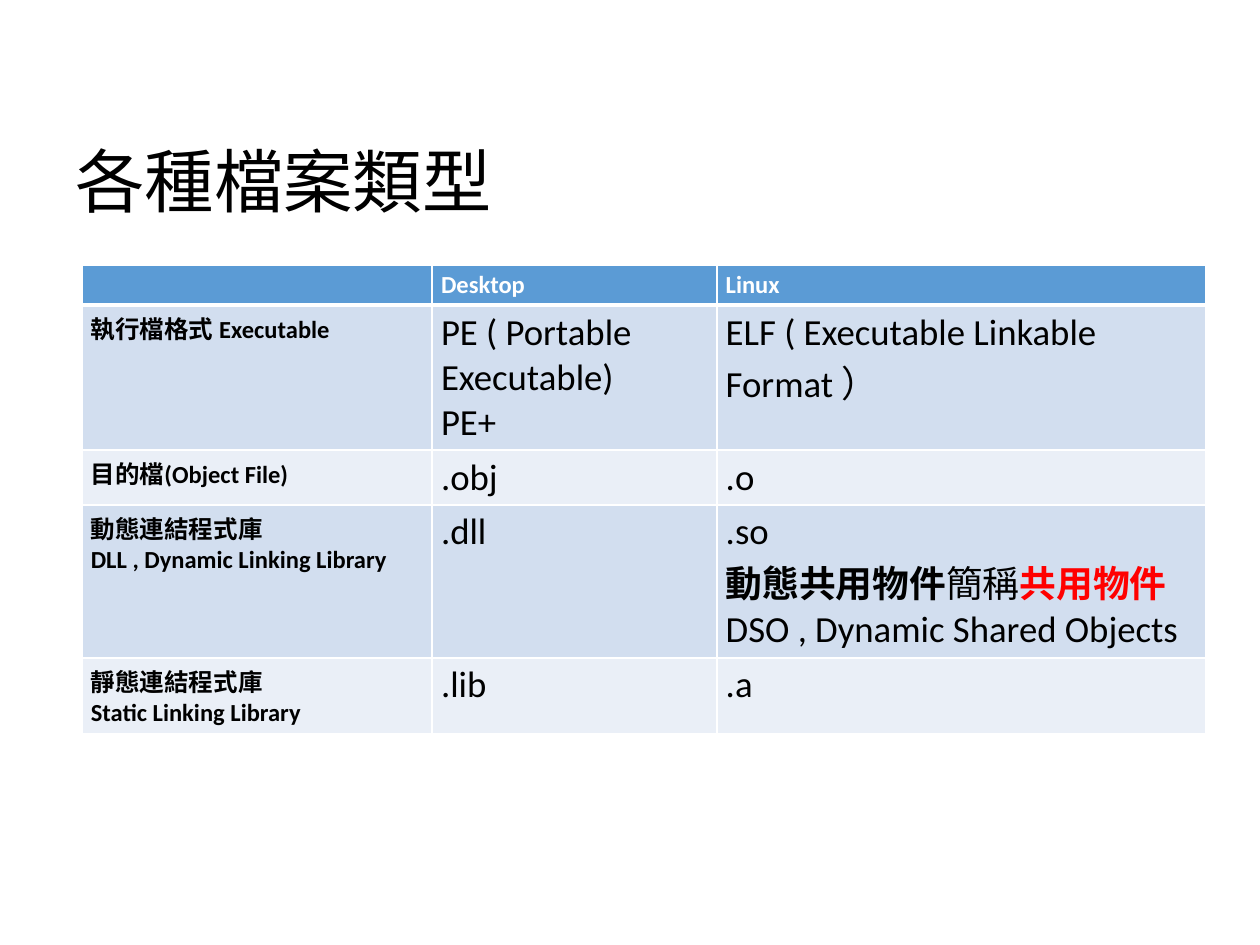
from lxml.etree import SubElement
from pptx import Presentation
from pptx.dml.color import RGBColor
from pptx.enum.text import MSO_ANCHOR as Anchor, MSO_AUTO_SIZE as AutoSize, PP_ALIGN as Align
from pptx.oxml.ns import qn
from pptx.util import Cm, Pt

BLACK = RGBColor(0x00, 0x00, 0x00)
WHITE = RGBColor(0xFF, 0xFF, 0xFF)
RED = RGBColor(0xFF, 0x00, 0x00)
HEADER_BLUE = RGBColor(0x5B, 0x9B, 0xD5)
BANDS = [RGBColor(0xD2, 0xDE, 0xEF), RGBColor(0xEA, 0xEF, 0xF7)]

HEADING = {"size": Pt(14), "bold": True, "color": WHITE}
LABEL = {"size": Pt(14), "bold": True, "color": BLACK}
VALUE = {"size": Pt(21), "bold": False, "color": BLACK}
STRONG = {**VALUE, "bold": True}
ALERT = {**STRONG, "color": RED}

COLUMN_WIDTHS = [7.06, 5.74, 9.86]
ROW_HEIGHTS = [0.76, 2.84, 1.07, 2.84, 1.35]
FILE_TYPES = [
    [[], ["Desktop"], ["Linux"]],
    [["執行檔格式 Executable"], ["PE ( Portable Executable)", "PE+"],
     ["ELF ( Executable Linkable Format ）"]],
    [["目的檔(Object File)"], [".obj"], [".o"]],
    [["動態連結程式庫", "DLL , Dynamic Linking Library"], [".dll"],
     [".so", [("動態共用物件", STRONG), ("簡稱", VALUE), ("共用物件", ALERT)],
      "DSO , Dynamic Shared Objects"]],
    [["靜態連結程式庫", "Static Linking Library"], [".lib"], [".a"]],
]


class SlideBuilder:
    """Hold the style and the slide being built."""

    font_name = "Calibri"
    cell_format = {"margin_left": Cm(0.18), "margin_right": Cm(0.18),
                   "margin_top": Cm(0.1), "margin_bottom": Cm(0.1),
                   "vertical_anchor": Anchor.TOP}

    def __init__(self, slide):
        self.slide = slide

    def apply(self, target, values):
        for name, value in values.items():
            setattr(target, name, value)

    def run(self, paragraph, text, style):
        run = paragraph.add_run()
        run.text = text
        self.apply(run.font, {"name": self.font_name, "size": style["size"],
                              "bold": style["bold"]})
        run.font.color.rgb = style["color"]

    def title(self, text, left, top, width, height):
        heading = self.slide.shapes.title
        self.apply(heading, {"left": Cm(left), "top": Cm(top),
                             "width": Cm(width), "height": Cm(height)})
        self.apply(heading.text_frame, {"auto_size": AutoSize.NONE, "word_wrap": True,
                                        "vertical_anchor": Anchor.MIDDLE})
        paragraph = heading.text_frame.paragraphs[0]
        self.apply(paragraph, {"alignment": Align.LEFT, "line_spacing": 0.9})
        self.run(paragraph, text, {"size": Pt(39.6), "bold": False, "color": BLACK})

    def borders(self, cell, widths):
        properties = cell._tc.get_or_add_tcPr()
        for side, width in widths.items():
            line = SubElement(properties, qn(f"a:ln{side}"), w=str(Pt(width)))
            fill = SubElement(line, qn("a:solidFill"))
            SubElement(fill, qn("a:srgbClr"), val=str(WHITE))

    def cell(self, cell, lines, style, fill, widths):
        self.apply(cell, self.cell_format)
        self.borders(cell, widths)
        cell.fill.solid()
        cell.fill.fore_color.rgb = fill
        frame = cell.text_frame
        if not lines:
            SubElement(frame.paragraphs[0]._p, qn("a:endParaRPr"),
                       sz=str(int(style["size"].pt * 100)))
        for index, line in enumerate(lines):
            paragraph = frame.add_paragraph() if index else frame.paragraphs[0]
            parts = [(line, style)] if isinstance(line, str) else line
            for text, part_style in parts:
                self.run(paragraph, text, part_style)

    def table(self, rows, left, top, column_widths, row_heights):
        table = self.slide.shapes.add_table(
            len(rows), len(column_widths), Cm(left), Cm(top),
            Cm(sum(column_widths)), Cm(sum(row_heights))).table
        for column, width in zip(table.columns, column_widths):
            column.width = Cm(width)
        for row, height in zip(table.rows, row_heights):
            row.height = Cm(height)
        for r, row in enumerate(rows):
            fill = BANDS[(r - 1) % 2] if r else HEADER_BLUE
            widths = {"L": 1, "R": 1, "T": 3 if r == 1 else 1, "B": 1 if r else 3}
            for c, lines in enumerate(row):
                style = HEADING if r == 0 else VALUE if c else LABEL
                self.cell(table.cell(r, c), lines, style, fill, widths)


def main():
    deck = Presentation()
    deck.slide_width, deck.slide_height = Cm(25.4), Cm(19.05)
    builder = SlideBuilder(deck.slides.add_slide(deck.slide_layouts[5]))
    builder.title("各種檔案類型", 1.27, 3.02, 9.32, 1.42)
    builder.table(FILE_TYPES, 1.65, 5.35, COLUMN_WIDTHS, ROW_HEIGHTS)
    deck.save("out.pptx")


if __name__ == "__main__":
    main()
